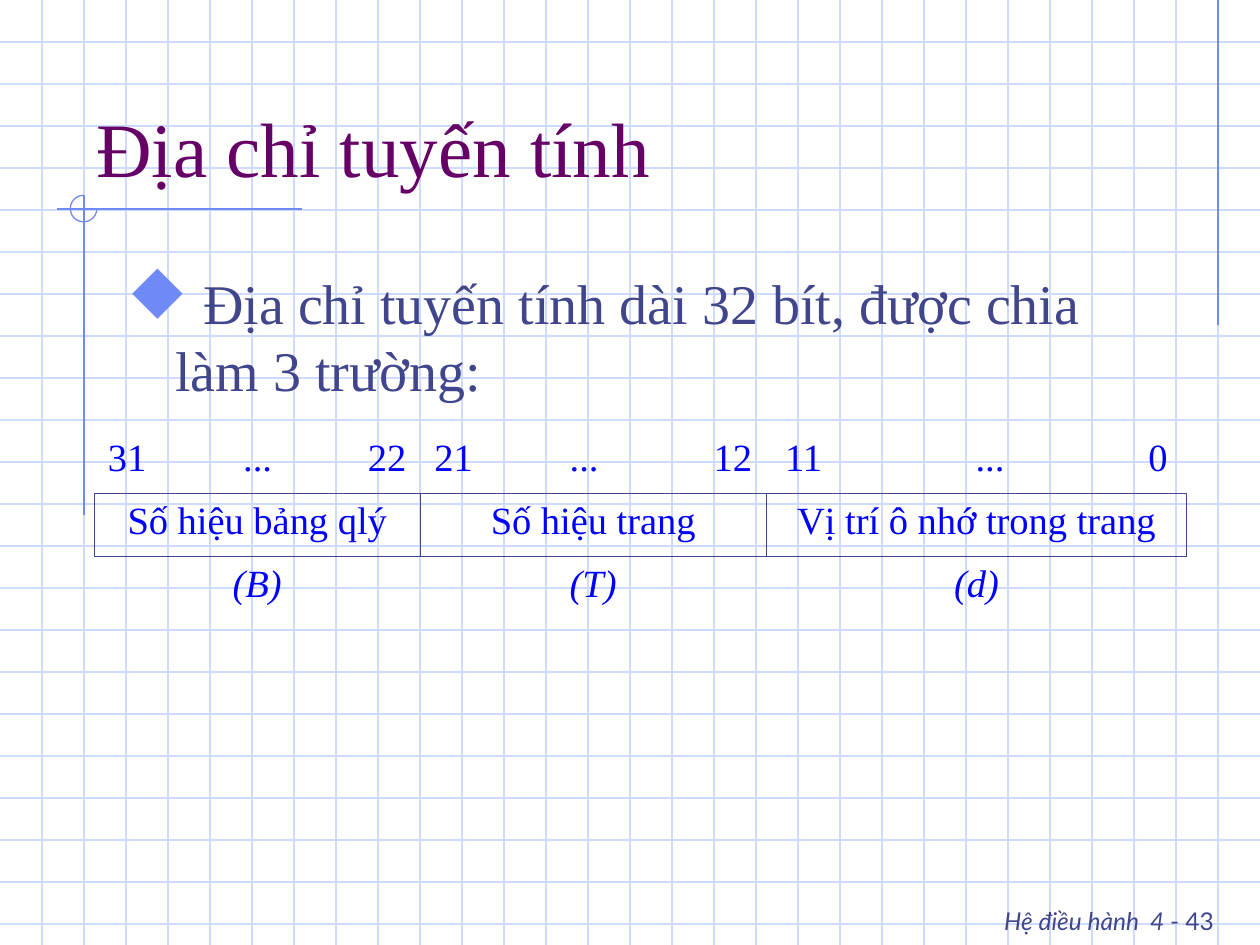
from lxml import etree
from pptx import Presentation
from pptx.dml.color import RGBColor
from pptx.enum import shapes, text
from pptx.oxml import ns
from pptx.util import Pt

WIDTH, HEIGHT, GRID_STEP = 720, 540, 24
GRID, ACCENT, INK, PLUM, BLUE = "CFDBFD", "6F89F7", "40458C", "660066", "0000FF"
SERIF, SANS, SYMBOLS = "Times New Roman", "Lato", "Wingdings"
DIAMOND = "u"

TITLE = "Địa chỉ tuyến tính"
BODY = " Địa chỉ tuyến tính dài 32 bít, được chia làm 3 trường:"
FOOTER = [("Hệ điều hành", 14, True), (" ", 24, False), ("4 ", 14, True), ("- 43", 14, False)]
FIELDS = [
    dict(width=186, margin=7.7, bits=("31", "...", "22"), tabs=(85.5, 170.5), name="Số hiệu bảng qlý", symbol="(B)"),
    dict(width=198, margin=8.3, bits=("21", "...", "12"), tabs=(85.5, 181.5), name="Số hiệu trang", symbol="(T)"),
    dict(width=240, margin=10.7, bits=("11", "...", "0"), tabs=(117, 218.5), name="Vị trí ô nhớ trong trang", symbol="(d)"),
]
ACCENT_LINES = [(696, 0, 696, 186), (172.8, 119.5, 32.4, 119.5), (48, 111.6, 48, 294.5)]
ROW_HEIGHT = 36
ROW_BORDERS = ["B", "LRTB", "T"]


def color(value):
    return RGBColor.from_string(value)


def add(parent, tag, **attributes):
    return etree.SubElement(parent, ns.qn(tag), {key: str(value) for key, value in attributes.items()})


def add_line(page, x1, y1, x2, y2, tone):
    line = page.shapes.add_connector(shapes.MSO_CONNECTOR.STRAIGHT, Pt(x1), Pt(y1), Pt(x2), Pt(y2))
    line.line.color.rgb = color(tone)
    line.line.width = Pt(0.75)
    add(line._element.spPr, "a:effectLst")


def write(para, words, size=22, font=SERIF, tone=BLUE, italic=False):
    span = para.add_run()
    span.text = words
    span.font.size = Pt(size)
    span.font.name = font
    span.font.italic = italic
    span.font.color.rgb = color(tone)


def add_box(page, left, top, width, height, anchor=text.MSO_ANCHOR.TOP):
    box = page.shapes.add_textbox(Pt(left), Pt(top), Pt(width), Pt(height))
    box.text_frame.word_wrap = True
    box.text_frame.vertical_anchor = anchor
    return box.text_frame.paragraphs[0]


def set_bullet(para, mark, tone, percent, indent):
    settings = para._p.get_or_add_pPr()
    settings.set("marL", str(Pt(indent)))
    settings.set("indent", str(-Pt(indent)))
    add(add(settings, "a:buClr"), "a:srgbClr", val=tone)
    add(settings, "a:buSzPct", val=percent * 1000)
    add(settings, "a:buFont", typeface=SYMBOLS, pitchFamily=2, charset=2)
    add(settings, "a:buChar", char=mark)


def set_tabs(para, middle, end):
    stops = add(para._p.get_or_add_pPr(), "a:tabLst")
    add(stops, "a:tab", pos=Pt(middle), algn="ctr")
    add(stops, "a:tab", pos=Pt(end), algn="r")


def set_borders(cell, sides):
    settings = cell._tc.get_or_add_tcPr()
    for side in "LRTB":
        border = add(settings, "a:ln" + side, w=Pt(0.45))
        if side in sides:
            add(add(border, "a:solidFill"), "a:srgbClr", val=INK)
        else:
            add(border, "a:noFill")


def draw_background(page):
    for y in range(GRID_STEP, HEIGHT, GRID_STEP):
        add_line(page, 0, y, WIDTH, y, GRID)
    for x in range(GRID_STEP, WIDTH, GRID_STEP):
        add_line(page, x, 0, x, HEIGHT, GRID)
    for ends in ACCENT_LINES:
        add_line(page, *ends, ACCENT)
    arc = page.shapes.add_shape(shapes.MSO_SHAPE.ARC, Pt(40.2), Pt(111.6), Pt(15.2), Pt(15.2))
    arc.adjustments[0] = 0
    arc.adjustments[1] = 270 * 0.6
    arc.shadow.inherit = False
    arc.fill.background()
    arc.line.color.rgb = color(ACCENT)
    arc.line.width = Pt(0.75)


def draw_table(page):
    total = sum(field["width"] for field in FIELDS)
    table = page.shapes.add_table(3, len(FIELDS), Pt(54), Pt(246), Pt(total), Pt(3 * ROW_HEIGHT)).table
    table.first_row = table.horz_banding = False
    for row in table.rows:
        row.height = Pt(ROW_HEIGHT)
    for column, field in enumerate(FIELDS):
        table.columns[column].width = Pt(field["width"])
        lines = ["\t".join(field["bits"]), field["name"], field["symbol"]]
        for row, words in enumerate(lines):
            cell = table.cell(row, column)
            set_borders(cell, ROW_BORDERS[row])
            cell.fill.background()
            para = cell.text_frame.paragraphs[0]
            para.space_before = Pt(5.5)
            if row == 0:
                cell.margin_left = Pt(field["margin"])
                para.alignment = text.PP_ALIGN.LEFT
                set_tabs(para, *field["tabs"])
            else:
                para.alignment = text.PP_ALIGN.CENTER
            write(para, words, italic=row == 2)


def main():
    deck = Presentation()
    deck.slide_width, deck.slide_height = Pt(WIDTH), Pt(HEIGHT)
    page = deck.slides.add_slide(deck.slide_layouts[6])
    draw_background(page)

    footer = add_box(page, 492, 504, 208.8, 36)
    footer.alignment = text.PP_ALIGN.RIGHT
    for words, size, italic in FOOTER:
        write(footer, words, size=size, font=SANS, tone=INK, italic=italic)

    title = add_box(page, 48, 24, 612, 90, anchor=text.MSO_ANCHOR.BOTTOM)
    write(title, TITLE, size=44, tone=PLUM)

    body = add_box(page, 66, 150, 606, 96)
    body.space_before = Pt(8)
    set_bullet(body, DIAMOND, ACCENT, 110, 27)
    write(body, BODY, size=32, tone=INK)

    draw_table(page)
    deck.save("out.pptx")


if __name__ == "__main__":
    main()
